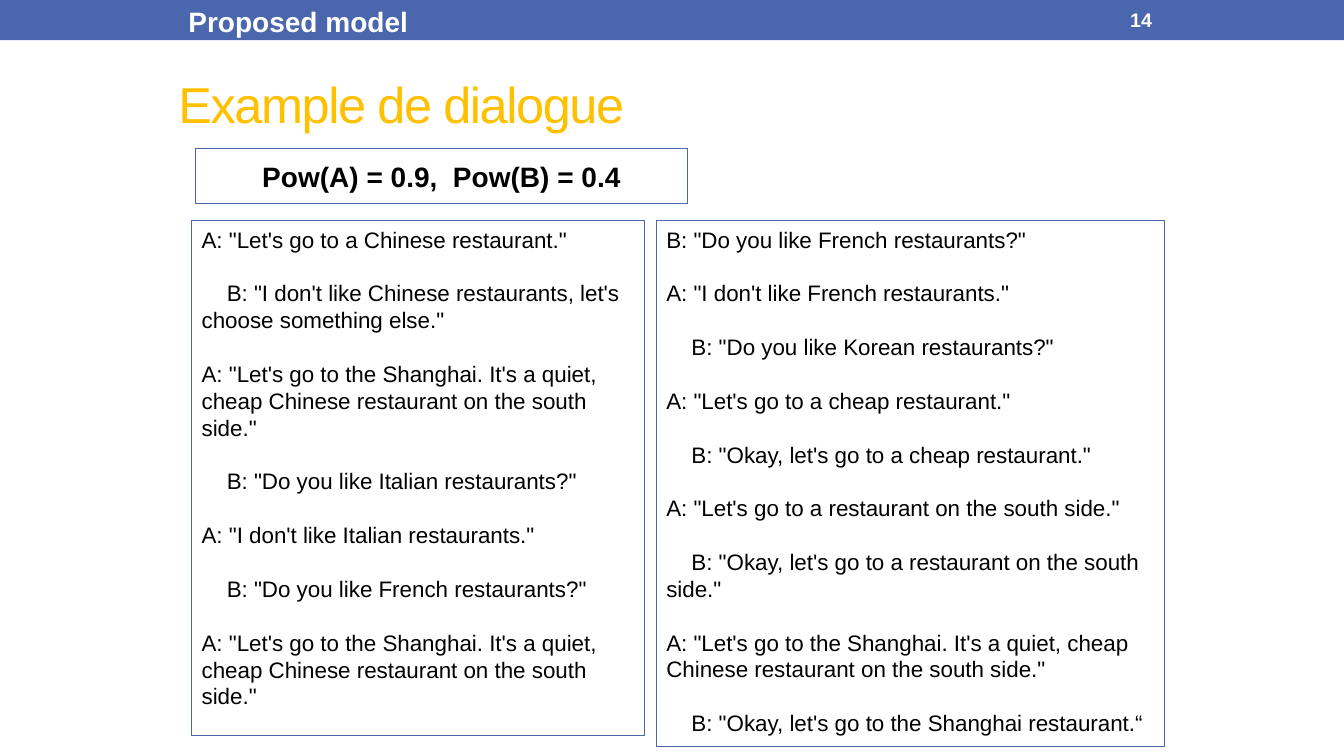
from pptx import Presentation
from pptx import util as u
from pptx.dml.color import RGBColor
from pptx.enum import shapes, text
from pptx.oxml.ns import qn
from lxml import etree

HUES = {"blue": "4A66AC", "gold": "FFC000", "white": "FFFFFF", "black": "000000"}
LEFT = [
    'A: "Let\'s go to a Chinese restaurant."',
    'B: "I don\'t like Chinese restaurants, let\'s choose something else."',
    'A: "Let\'s go to the Shanghai. It\'s a quiet, cheap Chinese restaurant on the south side."',
    'B: "Do you like Italian restaurants?"',
    'A: "I don\'t like Italian restaurants."',
    'B: "Do you like French restaurants?"',
    'A: "Let\'s go to the Shanghai. It\'s a quiet, cheap Chinese restaurant on the south side."',
]
RIGHT = [
    'B: "Do you like French restaurants?"',
    'A: "I don\'t like French restaurants."',
    'B: "Do you like Korean restaurants?"',
    'A: "Let\'s go to a cheap restaurant."',
    'B: "Okay, let\'s go to a cheap restaurant."',
    'A: "Let\'s go to a restaurant on the south side."',
    'B: "Okay, let\'s go to a restaurant on the south side."',
    'A: "Let\'s go to the Shanghai. It\'s a quiet, cheap Chinese restaurant on the south side."',
    'B: "Okay, let\'s go to the Shanghai restaurant.“',
]


class Deck:
    """Style and current slide; places are percent of the slide's size."""

    def __init__(self):
        self.prs = Presentation()
        self.prs.slide_width, self.prs.slide_height = u.Inches(13.33), u.Inches(7.5)
        self.slide = self.prs.slides.add_slide(self.prs.slide_layouts[1])

    def area(self, x, y, w, h):
        wide, high = self.prs.slide_width, self.prs.slide_height
        return [int(part * full / 100)
                for part, full in zip((x, y, w, h), (wide, high, wide, high))]

    def place(self, shape, at):
        for name, value in zip(("left", "top", "width", "height"), self.area(*at)):
            setattr(shape, name, value)
        return shape

    def fill_text(self, shape, lines, size, hue="black", bold=False, align="LEFT",
                  anchor="TOP", wrap=True, gap=0, track=0):
        frame = shape.text_frame
        look = {"word_wrap": wrap, "auto_size": text.MSO_AUTO_SIZE.NONE,
                "vertical_anchor": getattr(text.MSO_ANCHOR, anchor)}
        for name, value in look.items():
            setattr(frame, name, value)
        for i, line in enumerate(lines):
            para = frame.add_paragraph() if i else frame.paragraphs[0]
            para.alignment = getattr(text.PP_ALIGN, align)
            para.space_before = u.Pt(gap if i else 0)
            # Replies by B start with an indent, except at the top of a box
            props = para._p.get_or_add_pPr()
            props.set("marL", "0")
            props.set("indent", str(u.Inches(0.25) if i and line[0] == "B" else 0))
            etree.SubElement(props, qn("a:buNone"))
            run = para.add_run()
            run.text = line
            for name, value in {"name": "Arial", "size": u.Pt(size), "bold": bold}.items():
                setattr(run.font, name, value)
            run.font.color.rgb = RGBColor.from_string(HUES[hue])
            if track:
                run._r.get_or_add_rPr().set("spc", str(track * 100))

    def edge(self, shape):
        shape.line.color.rgb = RGBColor.from_string(HUES["blue"])
        shape.line.width = u.Pt(0.75)

    def rect(self, at, fill=None):
        shape = self.slide.shapes.add_shape(shapes.MSO_SHAPE.RECTANGLE, *self.area(*at))
        shape.shadow.inherit = False
        if fill:
            shape.fill.solid()
            shape.fill.fore_color.rgb = RGBColor.from_string(HUES[fill])
            shape.line.fill.background()
        else:
            shape.fill.background()
            self.edge(shape)
        return shape

    def label(self, at, line, **style):
        box = self.slide.shapes.add_textbox(*self.area(*at))
        self.fill_text(box, [line], hue="white", bold=True, **style)

    def title(self, at, line, **style):
        self.fill_text(self.place(self.slide.shapes.title, at), [line], **style)

    def body(self, at, lines, **style):
        box = self.place(self.slide.placeholders[1], at)
        self.edge(box)
        self.fill_text(box, lines, **style)

    def panel(self, at, lines, **style):
        self.fill_text(self.rect(at), lines, **style)


def main():
    deck = Deck()
    # Header bar
    deck.rect((0, 0, 100, 5.33), fill="blue")
    deck.label((13.28, 0, 18, 5.87), "Proposed model", size=20, wrap=False)
    deck.label((83.35, 0.27, 11.7, 4.8), "14", size=14, anchor="MIDDLE")
    # Title and power values
    deck.title((12.53, 5.33, 73.52, 16.67), "Example de dialogue",
               size=36, hue="gold", anchor="MIDDLE", track=-1)
    deck.panel((14.55, 19.6, 36.61, 7.33), ["Pow(A) = 0.9,  Pow(B) = 0.4"],
               size=20, bold=True, align="CENTER", anchor="MIDDLE")
    # Dialogue in two columns
    talk = {"size": 16, "gap": 19.2}
    deck.body((14.25, 29.2, 33.68, 68.13), LEFT, **talk)
    deck.panel((48.84, 29.2, 37.81, 69.6), RIGHT, **talk)
    deck.prs.save("out.pptx")


if __name__ == "__main__":
    main()
